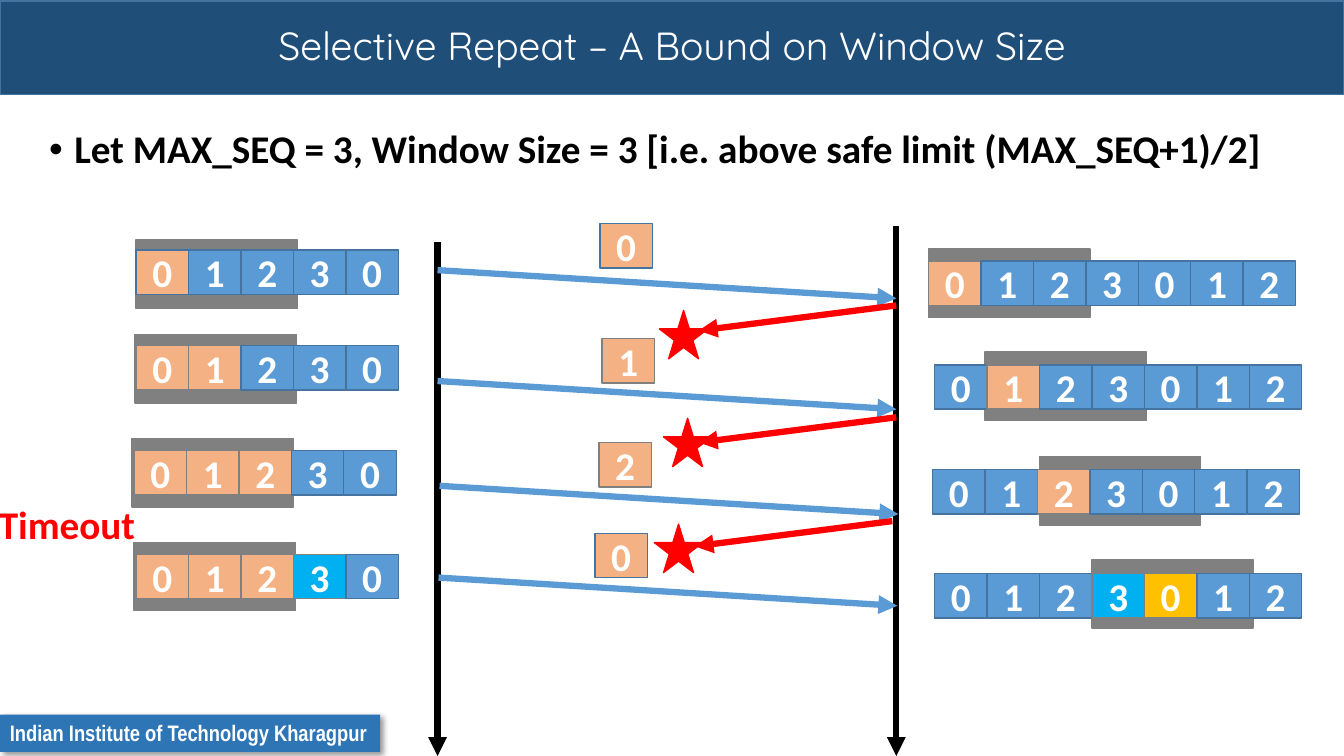
"""Build the slide on the window size bound of Selective Repeat."""
from lxml.etree import SubElement
from pptx import Presentation
from pptx.dml.color import RGBColor
from pptx.enum.shapes import MSO_CONNECTOR, MSO_SHAPE
from pptx.enum.text import MSO_ANCHOR, MSO_AUTO_SIZE, PP_ALIGN
from pptx.oxml.ns import qn
from pptx.util import Inches, Pt

WHITE = RGBColor(0xFF, 0xFF, 0xFF)
BLACK = RGBColor(0, 0, 0)
RED = RGBColor(0xFF, 0, 0)
GREY = RGBColor(0x80, 0x80, 0x80)
NAVY = RGBColor(0x1F, 0x4E, 0x79)
FOOTER_BLUE = RGBColor(0x2E, 0x75, 0xB6)
BLUE = RGBColor(0x5B, 0x9B, 0xD5)
EDGE_BLUE = RGBColor(0x43, 0x73, 0x9E)
ORANGE = RGBColor(0xF4, 0xB1, 0x83)
CYAN = RGBColor(0x00, 0xB0, 0xF0)
AMBER = RGBColor(0xFF, 0xC0, 0x00)

TITLE = "Selective Repeat – A Bound on Window Size"
PREMISE = "Let MAX_SEQ = 3, Window Size = 3 [i.e. above safe limit (MAX_SEQ+1)/2]"
INSTITUTE = "Indian Institute of Technology Kharagpur"

CELL_STYLES = {
    "blue": (BLUE, EDGE_BLUE),
    "orange": (ORANGE, GREY),
    "first": (ORANGE, EDGE_BLUE),
    "cyan": (CYAN, GREY),
    "amber": (AMBER, GREY),
}
SENDER_DIGITS, RECEIVER_DIGITS = "01230", "0123012"
BUFFERS = [
    {"digits": SENDER_DIGITS, "at": (1.35, 2.48), "window": (1.35, 2.38),
     "marked": {0: "first"}},
    {"digits": SENDER_DIGITS, "at": (1.35, 3.43), "window": (1.34, 3.32),
     "marked": {0: "orange", 1: "orange"}},
    {"digits": SENDER_DIGITS, "at": (1.33, 4.47), "window": (1.31, 4.35),
     "marked": {0: "orange", 1: "orange", 2: "orange"}},
    {"digits": SENDER_DIGITS, "at": (1.35, 5.5), "window": (1.33, 5.38),
     "marked": {0: "orange", 1: "orange", 2: "orange", 3: "cyan"}},
    {"digits": RECEIVER_DIGITS, "at": (9.21, 2.59), "window": (9.21, 2.47),
     "marked": {0: "orange"}},
    {"digits": RECEIVER_DIGITS, "at": (9.27, 3.62), "window": (9.77, 3.49),
     "marked": {1: "orange"}},
    {"digits": RECEIVER_DIGITS, "at": (9.25, 4.66), "window": (10.31, 4.53),
     "marked": {2: "orange"}},
    {"digits": RECEIVER_DIGITS, "at": (9.27, 5.69), "window": (10.83, 5.55),
     "marked": {3: "cyan", 4: "amber"}},
]
TIMELINES = [(4.34, 2.4), (8.89, 2.24)]
FRAMES = [
    {"digit": "0", "at": (5.95, 2.22), "style": "first", "sent": (4.34, 2.68)},
    {"digit": "1", "at": (5.97, 3.36), "style": "orange", "sent": (4.34, 3.78)},
    {"digit": "2", "at": (5.94, 4.39), "style": "orange", "sent": (4.36, 4.82)},
    {"digit": "0", "at": (5.9, 5.29), "style": "first", "sent": (4.35, 5.73)},
]
LOST_ACKS = [
    {"sent": (8.89, 3.03), "star": (6.54, 3.08)},
    {"sent": (8.89, 4.14), "star": (6.58, 4.15)},
    {"sent": (8.85, 5.17), "star": (6.49, 5.2)},
]

SLIDE_WIDTH, SLIDE_HEIGHT = 13.33, 7.5
CELL_WIDTH, CELL_HEIGHT = 0.52, 0.44
CELL_STEP = 0.52
WINDOW_SIZE = (1.6, 0.68)
STAR_SIZE = (0.48, 0.48)
FRAME_TRAVEL = (4.55, 0.28)
ACK_TRAVEL = (-1.96, 0.25)

presentation = Presentation()
presentation.slide_width = Inches(SLIDE_WIDTH)
presentation.slide_height = Inches(SLIDE_HEIGHT)
slide = presentation.slides.add_slide(presentation.slide_layouts[6])


def write(box, text, size=28, font="Calibri", color=WHITE, bold=True,
          align=PP_ALIGN.CENTER, anchor=MSO_ANCHOR.MIDDLE, wrap=True,
          spacing=None, bullet=None):
    frame = box.text_frame
    frame.word_wrap = wrap
    frame.auto_size = MSO_AUTO_SIZE.NONE if wrap else MSO_AUTO_SIZE.SHAPE_TO_FIT_TEXT
    frame.vertical_anchor = anchor
    paragraph = frame.paragraphs[0]
    paragraph.text = text
    paragraph.alignment = align
    if spacing:
        paragraph.line_spacing = spacing
    if bullet:
        properties = paragraph._p.get_or_add_pPr()
        properties.set("marL", str(Inches(0.25)))
        properties.set("indent", str(Inches(-0.25)))
        SubElement(properties, qn("a:buFont"), typeface="Arial")
        SubElement(properties, qn("a:buChar"), char=bullet)
    run_font = paragraph.runs[0].font
    run_font.name, run_font.size, run_font.bold = font, Pt(size), bold
    run_font.color.rgb = color


def add_block(at, size, fill, edge=None, kind=MSO_SHAPE.RECTANGLE):
    block = slide.shapes.add_shape(kind, *map(Inches, at + size))
    block.shadow.inherit = False
    block.fill.solid()
    block.fill.fore_color.rgb = fill
    if edge is None:
        block.line.fill.background()
    else:
        block.line.color.rgb = edge
        block.line.width = Pt(1)
    return block


def add_cell(digit, at, style):
    write(add_block(at, (CELL_WIDTH, CELL_HEIGHT), *CELL_STYLES[style]), digit)


def add_arrow(start, travel, color):
    end = (start[0] + travel[0], start[1] + travel[1])
    arrow = slide.shapes.add_connector(
        MSO_CONNECTOR.STRAIGHT, *map(Inches, start + end))
    arrow.line.color.rgb = color
    arrow.line.width = Pt(4.5)
    SubElement(arrow.line._get_or_add_ln(), qn("a:tailEnd"), type="triangle")
    SubElement(arrow._element.spPr, qn("a:effectLst"))


def cast_shadow(block):
    effects = block._element.spPr.find(qn("a:effectLst"))
    shadow = SubElement(effects, qn("a:outerShdw"), blurRad=str(Pt(4)),
                        dist=str(Pt(3)), dir=str(45 * 60000), rotWithShape="0")
    shade = SubElement(shadow, qn("a:srgbClr"), val=str(BLACK))
    SubElement(shade, qn("a:alpha"), val="40000")


banner = add_block((0, 0.01), (SLIDE_WIDTH, 0.93), NAVY, EDGE_BLUE)
write(banner, TITLE, font="Quicksand", bold=False, spacing=0.9)

institute = add_block((0, 7.09), (3.77, 0.37), FOOTER_BLUE)
cast_shadow(institute)
write(institute, INSTITUTE, size=16, font="Arial Narrow", align=PP_ALIGN.LEFT,
      anchor=MSO_ANCHOR.TOP, wrap=False)

premise = slide.shapes.add_textbox(*map(Inches, (0.39, 1.24, 12.63, 0.69)))
write(premise, PREMISE, color=BLACK, align=PP_ALIGN.LEFT,
      anchor=MSO_ANCHOR.TOP, spacing=0.9, bullet="•")

for x, top in TIMELINES:
    add_arrow((x, top), (0, SLIDE_HEIGHT - top), BLACK)

for buffer in BUFFERS:
    add_block(buffer["window"], WINDOW_SIZE, GREY, GREY)
    left, top = buffer["at"]
    for index, digit in enumerate(buffer["digits"]):
        add_cell(digit, (left + index * CELL_STEP, top),
                 buffer["marked"].get(index, "blue"))

for frame in FRAMES:
    add_arrow(frame["sent"], FRAME_TRAVEL, BLUE)
    add_cell(frame["digit"], frame["at"], frame["style"])

for ack in LOST_ACKS:
    add_arrow(ack["sent"], ACK_TRAVEL, RED)
    add_block(ack["star"], STAR_SIZE, RED, RED, MSO_SHAPE.STAR_5_POINT)

timeout = slide.shapes.add_textbox(*map(Inches, (-0.11, 4.91, 1.57, 0.57)))
write(timeout, "Timeout", color=RED, align=PP_ALIGN.LEFT,
      anchor=MSO_ANCHOR.TOP, wrap=False)

presentation.save("out.pptx")
